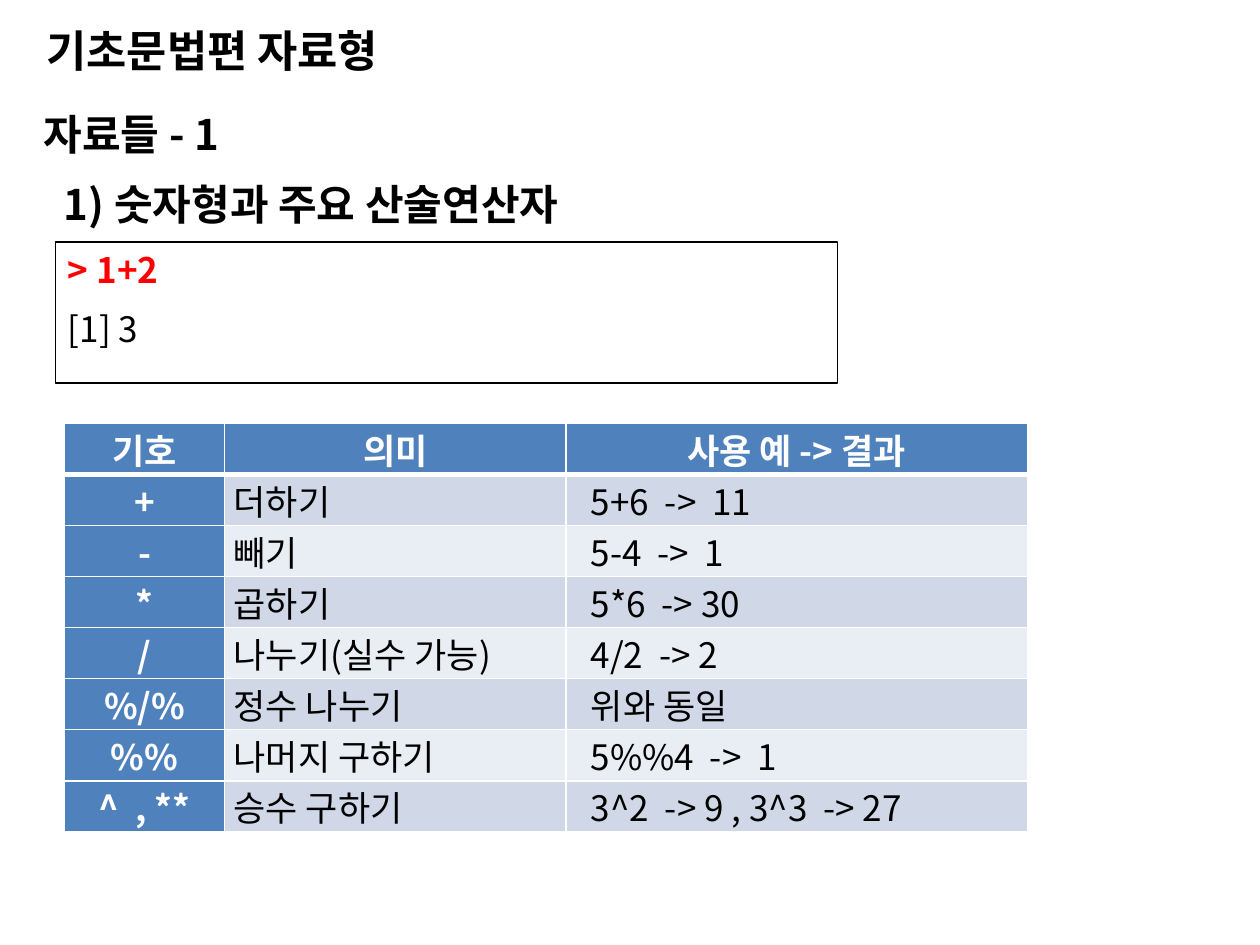
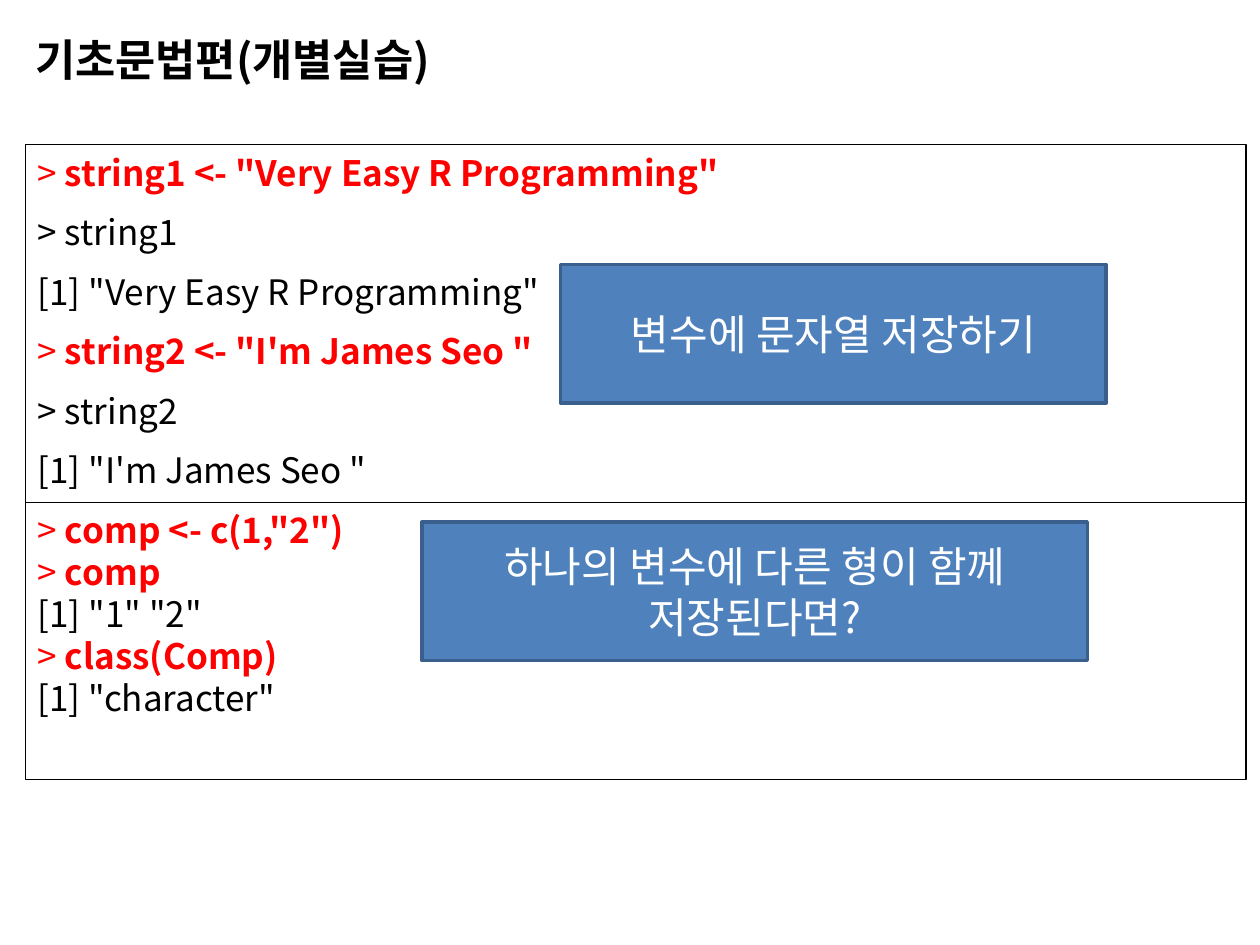
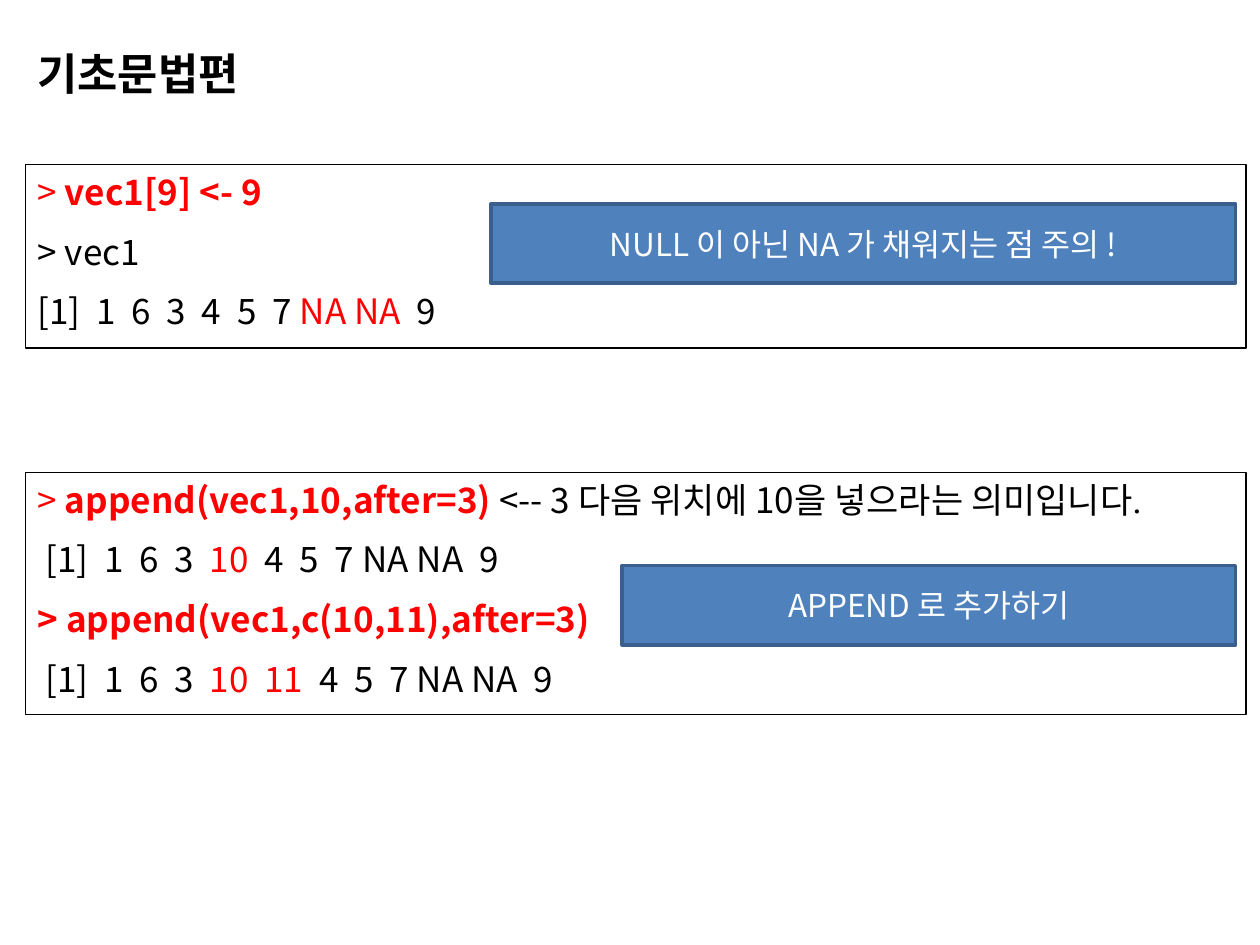
"""Build three slides on the basic data types of R."""
from lxml import etree
from pptx import Presentation
from pptx import util as u
from pptx.dml.color import RGBColor
from pptx.enum import shapes, text
from pptx.oxml import ns

HUES = {
    "black": "000000", "white": "FFFFFF", "red": "FF0000", "blue": "4F81BD",
    "navy": "3A5F8C", "odd": "D0D8E8", "even": "E9EDF4",
}
FACE = "Noto Sans CJK KR"
SERIF = "Times New Roman"
LEFT, WIDE = 0.51, 24.61
ALIGN = text.PP_ALIGN

SIGNS = [
    ("기호", "의미", "사용 예 -> 결과"),
    ("+", "더하기", "5+6  ->  11"),
    ("-", "빼기", "5-4  ->  1"),
    ("*", "곱하기", "5*6  -> 30"),
    ("/", "나누기(실수 가능)", "4/2  -> 2"),
    ("%/%", "정수 나누기", "위와 동일"),
    ("%%", "나머지 구하기", "5%%4  ->  1"),
    ("^  , **", "승수 구하기", "3^2  -> 9 , 3^3  -> 27"),
]


def hue(name):
    """Return the named colour."""
    return RGBColor.from_string(HUES[name])


def style(run, size, tint="black", bold=False, face=FACE):
    """Set the font of a run for Latin and Korean letters."""
    font = run.font
    font.size, font.bold, font.name = u.Pt(size), bold, face
    font.color.rgb = hue(tint)
    east = etree.SubElement(run._r.get_or_add_rPr(), ns.qn("a:ea"))
    east.set("typeface", face)


def label(frame, words, size, tint="black", bold=False, align=None):
    """Write one paragraph in one style."""
    frame.text = words
    para = frame.paragraphs[0]
    para.alignment = align
    style(para.runs[0], size, tint, bold)


def head(slide, left, top, width, words, size=24):
    """Add a bold heading that does not wrap."""
    box = slide.shapes.add_textbox(u.Cm(left), u.Cm(top), u.Cm(width), u.Cm(1.3))
    frame = box.text_frame
    frame.word_wrap = False
    frame.auto_size = text.MSO_AUTO_SIZE.SHAPE_TO_FIT_TEXT
    label(frame, words, size, bold=True)


def block(slide, place, fill, edge, weight):
    """Add a filled rectangle and return its text frame."""
    rect = slide.shapes.add_shape(
        shapes.MSO_SHAPE.RECTANGLE, *[u.Cm(side) for side in place])
    rect.shadow.inherit = False
    rect.fill.solid()
    rect.fill.fore_color.rgb = hue(fill)
    rect.line.color.rgb = hue(edge)
    rect.line.width = u.Pt(weight)
    rect.text_frame.word_wrap = True
    return rect.text_frame


def black(words, face=FACE):
    """Describe plain output."""
    return words, "black", False, face


def red(words, bold=False):
    """Describe marked output."""
    return words, "red", bold, FACE


def call(words):
    """Describe a typed command after its prompt."""
    return [red("> "), red(words, True)]


def shell(slide, place, lines, loose=True):
    """Add a framed console listing."""
    frame = block(slide, place, "white", "black", 0.75)
    frame.vertical_anchor = text.MSO_ANCHOR.TOP
    for row, parts in enumerate(lines):
        para = frame.add_paragraph() if row else frame.paragraphs[0]
        para.alignment = ALIGN.JUSTIFY if loose else ALIGN.LEFT
        if loose:
            para.space_after = u.Pt(10)
        for words, *look in parts:
            run = para.add_run()
            run.text = words
            style(run, 20, *look)


def note(slide, place, words, size):
    """Add a blue callout."""
    frame = block(slide, place, "blue", "navy", 2)
    frame.vertical_anchor = text.MSO_ANCHOR.MIDDLE
    label(frame, words, size, "white", align=ALIGN.CENTER)


def edges(cell, row):
    """Draw white cell borders, thick below the head row."""
    thick = {(0, "B"), (1, "T")}
    for side in "LRTB":
        line = etree.SubElement(cell._tc.get_or_add_tcPr(), ns.qn(f"a:ln{side}"))
        line.set("w", str(u.Pt(3 if (row, side) in thick else 1)))
        fill = etree.SubElement(line, ns.qn("a:solidFill"))
        etree.SubElement(fill, ns.qn("a:srgbClr")).set("val", HUES["white"])


def grid(slide, left, top, widths, height, rows):
    """Add a banded table with a blue head row and first column."""
    table = slide.shapes.add_table(
        len(rows), len(widths), u.Cm(left), u.Cm(top),
        u.Cm(sum(widths)), u.Cm(height * len(rows))).table
    for col, width in enumerate(widths):
        table.columns[col].width = u.Cm(width)
    for row, items in enumerate(rows):
        table.rows[row].height = u.Cm(height)
        for col, words in enumerate(items):
            cell = table.cell(row, col)
            main_cell = row == 0 or col == 0
            edges(cell, row)
            cell.fill.solid()
            cell.fill.fore_color.rgb = hue(
                "blue" if main_cell else "odd" if row % 2 else "even")
            cell.vertical_anchor = text.MSO_ANCHOR.MIDDLE
            cell.margin_top = cell.margin_bottom = 0
            cell.margin_right = u.Cm(0.18)
            cell.margin_left = u.Cm(0.5 if row and col == 2 else 0.18)
            label(cell.text_frame, words, 20,
                  "white" if main_cell else "black", main_cell,
                  ALIGN.CENTER if main_cell else ALIGN.LEFT)


def maths(slide):
    """Fill the slide on numbers and operators."""
    head(slide, 0.69, 0.36, 7.95, "기초문법편 자료형", 25)
    head(slide, 0.63, 2.06, 4.52, "자료들 - 1")
    head(slide, 1.04, 3.48, 11.63, "1) 숫자형과 주요 산술연산자")
    shell(slide, (1.12, 4.88, 15.77, 2.84),
          [[red("> 1+2", True)], [black("[1] 3")]])
    grid(slide, 1.3, 8.53, (3.23, 6.88, 9.3), 1.03, SIGNS)


def strings(slide):
    """Fill the slide on strings and mixed types."""
    head(slide, 0.46, 0.53, 9.17, "기초문법편(개별실습)", 25)
    shell(slide, (LEFT, 2.92, WIDE, 8.97), [
        call('string1 <- "Very Easy R Programming"'),
        [black("> string1")],
        [black('[1] "Very Easy R Programming"')],
        call('string2 <- "I\'m James Seo "'),
        [black("> string2")],
        [black('[1] "I\'m James Seo "')],
    ])
    note(slide, (11.3, 5.33, 11, 2.8), "변수에 문자열 저장하기", 24)
    shell(slide, (LEFT, 10.13, WIDE, 5.59), [
        call('comp <- c(1,"2")'),
        call("comp"),
        [black('[1] "1" "2"')],
        call("class(Comp)"),
        [black('[1] "character"')],
    ], loose=False)
    note(slide, (8.51, 10.52, 13.41, 2.8),
         "하나의 변수에 다른 형이 함께 저장된다면?", 24)


def vectors(slide):
    """Fill the slide on growing a vector."""
    start, end = black(" [1]  1  6  3  "), black("  4  5  7 NA NA  9")
    head(slide, 0.51, 0.81, 4.98, "기초문법편", 25)
    shell(slide, (LEFT, 3.32, WIDE, 3.7), [
        call("vec1[9] <- 9"),
        [black("> vec1")],
        [black("[1]  1  6  3  4  5  7 "), red("NA NA"), black("  9")],
    ])
    note(slide, (9.9, 4.11, 15.01, 1.6),
         "NULL 이 아닌 NA 가 채워지는 점 주의 !", 18)
    shell(slide, (LEFT, 9.52, WIDE, 4.88), [
        call("append(vec1,10,after=3) ")
        + [black("<-- 3 다음 위치에 10을 넣으라는 의미입니다"), black(".", SERIF)],
        [start, red("10"), end],
        [red("> append(vec1,c(10,11),after=3)", True)],
        [start, red("10  11"), end],
    ])
    note(slide, (12.54, 11.4, 12.37, 1.6), "APPEND 로 추가하기", 18)


def main():
    """Build and save the deck."""
    deck = Presentation()
    deck.slide_width, deck.slide_height = u.Cm(25.4), u.Cm(19.05)
    for fill in (maths, strings, vectors):
        fill(deck.slides.add_slide(deck.slide_layouts[6]))
    deck.save("out.pptx")


if __name__ == "__main__":
    main()
